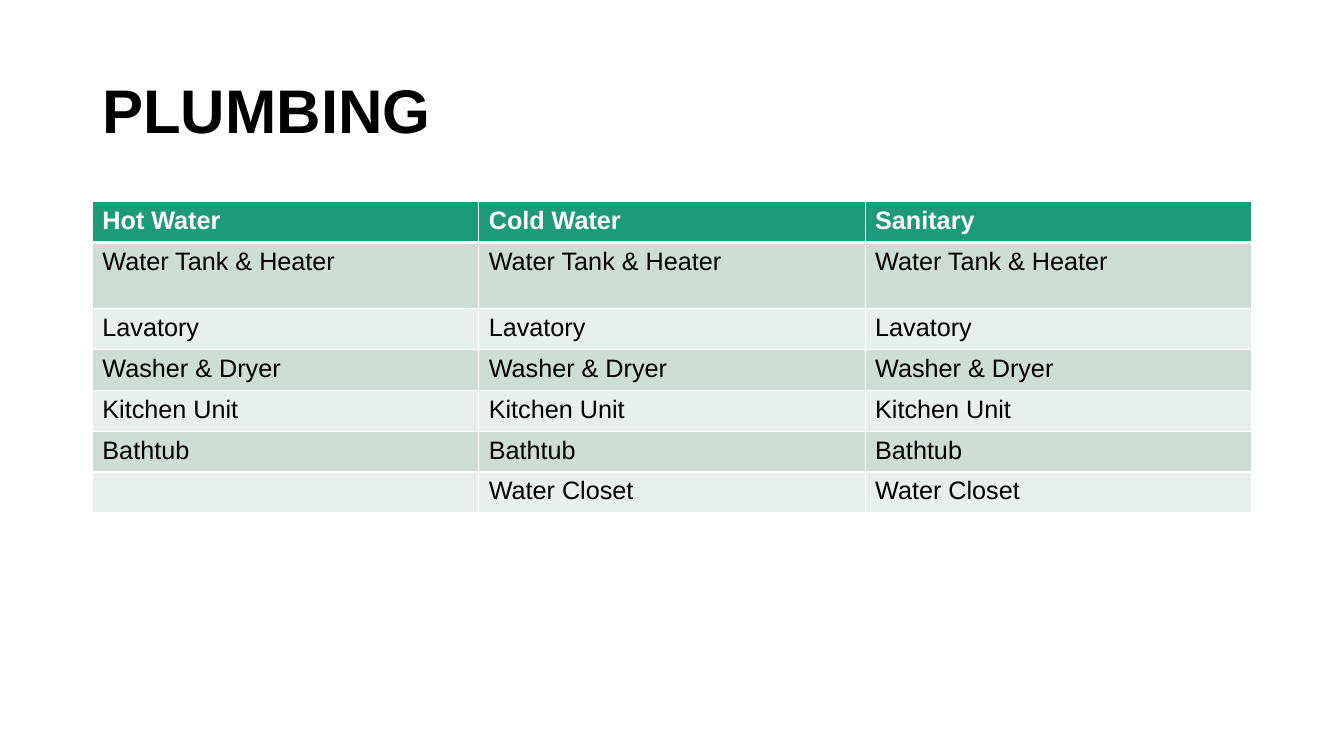
import pptx
import pptx.util
import pptx.dml.color
import pptx.enum.text
import pptx.oxml.ns
import lxml.etree

Pt = pptx.util.Pt

TITLE = "PLUMBING"
ROWS = [
    ("Hot Water", "Cold Water", "Sanitary"),
    ("Water Tank & Heater",) * 3,
    ("Lavatory",) * 3,
    ("Washer & Dryer",) * 3,
    ("Kitchen Unit",) * 3,
    ("Bathtub",) * 3,
    ("", "Water Closet", "Water Closet"),
]

THEME = {
    "font": "Arial", "title": 44, "body": 18,
    "ink": "000000", "white": "FFFFFF", "head": "1D9A78",
    "bands": ("E8EFEC", "CDDED6"),
    "thin": 1, "thick": 3,
}
LEFT, WIDTH = 66, 828
TITLE_TOP, TITLE_HIGH = 28.8, 104.4
GRID_TOP, ROW_HIGH, TALL_HIGH = 144, 29.2, 47.2


def color(key):
    return pptx.dml.color.RGBColor.from_string(key)


def style(font, size, ink, bold):
    values = {"name": THEME["font"], "size": Pt(size), "bold": bold}
    for name, value in values.items():
        setattr(font, name, value)
    font.color.rgb = color(ink)


def border(cell, widths):
    """Add white edges; widths maps L, R, T, B to points."""
    qn = pptx.oxml.ns.qn
    props = cell._tc.get_or_add_tcPr()
    for side, width in widths.items():
        line = lxml.etree.SubElement(props, qn("a:ln" + side), w=str(Pt(width)))
        fill = lxml.etree.SubElement(line, qn("a:solidFill"))
        lxml.etree.SubElement(fill, qn("a:srgbClr"), val=THEME["white"])


def add_title(slide):
    box = slide.shapes.add_textbox(
        Pt(LEFT), Pt(TITLE_TOP), Pt(WIDTH), Pt(TITLE_HIGH))
    frame = box.text_frame
    values = {"word_wrap": True,
              "vertical_anchor": pptx.enum.text.MSO_ANCHOR.MIDDLE}
    for name, value in values.items():
        setattr(frame, name, value)
    para = frame.paragraphs[0]
    para.line_spacing = 0.9
    run = para.add_run()
    run.text = TITLE
    style(run.font, THEME["title"], THEME["ink"], True)


def fill_cell(cell, text, row):
    head = row == 0
    thin, thick = THEME["thin"], THEME["thick"]
    border(cell, {"L": thin, "R": thin,
                  "T": thick if row == 1 else thin,
                  "B": thick if head else thin})
    cell.fill.solid()
    cell.fill.fore_color.rgb = color(
        THEME["head"] if head else THEME["bands"][row % 2])
    if text:
        run = cell.text_frame.paragraphs[0].add_run()
        run.text = text
        style(run.font, THEME["body"],
              THEME["white"] if head else THEME["ink"], head)


def add_grid(slide):
    highs = [TALL_HIGH if row == 1 else ROW_HIGH for row in range(len(ROWS))]
    count = len(ROWS[0])
    grid = slide.shapes.add_table(
        len(ROWS), count, Pt(LEFT), Pt(GRID_TOP), Pt(WIDTH), Pt(sum(highs))).table
    for col in grid.columns:
        col.width = Pt(WIDTH / count)
    for row, texts in enumerate(ROWS):
        grid.rows[row].height = Pt(highs[row])
        for col, text in enumerate(texts):
            fill_cell(grid.cell(row, col), text, row)


def main():
    deck = pptx.Presentation()
    deck.slide_width, deck.slide_height = Pt(960), Pt(540)
    slide = deck.slides.add_slide(deck.slide_layouts[6])
    add_title(slide)
    add_grid(slide)
    deck.save("out.pptx")


if __name__ == "__main__":
    main()
